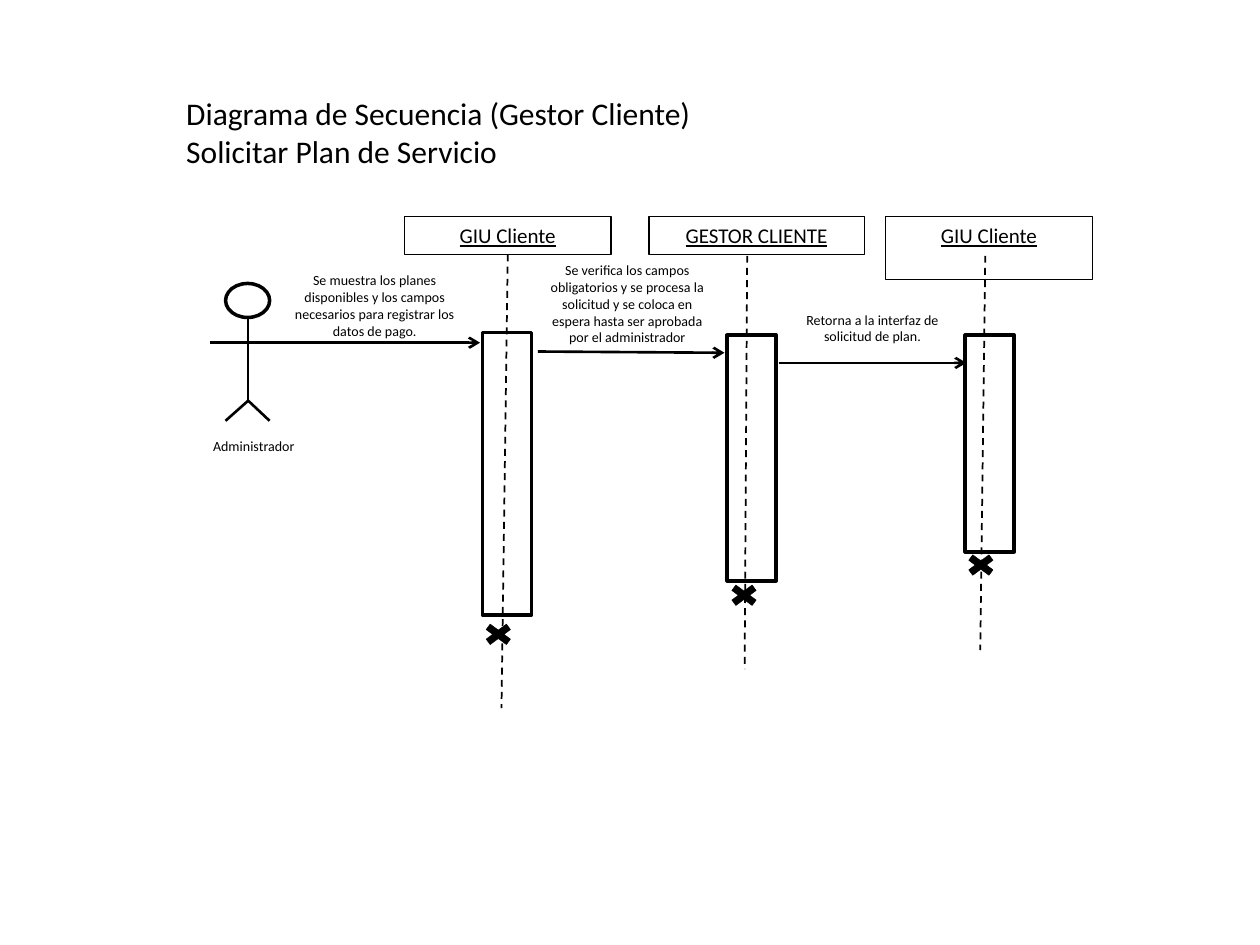
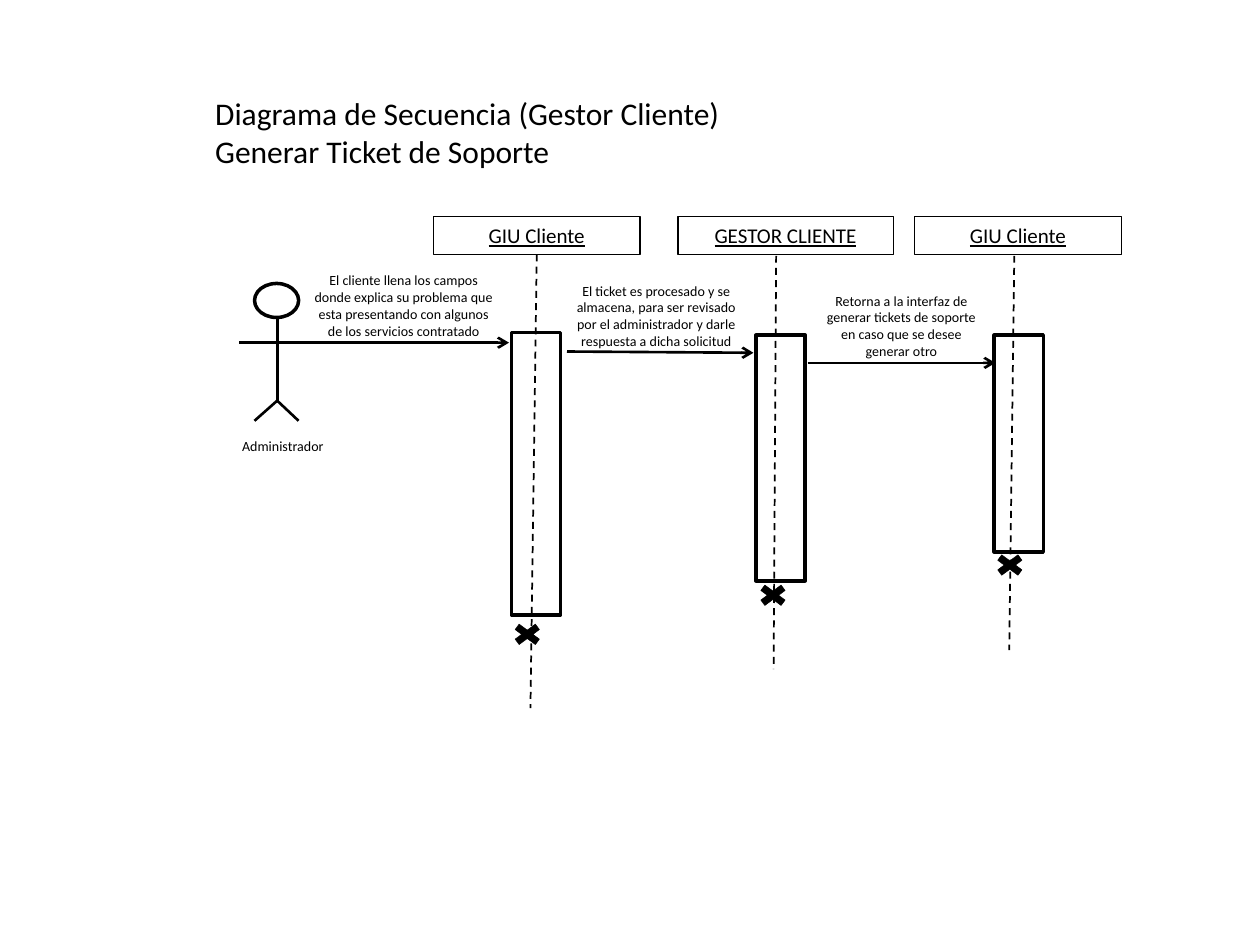
from dataclasses import dataclass
from pptx import Presentation
from pptx.dml.color import RGBColor
from pptx.enum.dml import MSO_LINE
from pptx.enum.shapes import MSO_CONNECTOR, MSO_SHAPE
from pptx.enum.text import MSO_ANCHOR, PP_ALIGN
from pptx.oxml.ns import qn
from pptx.util import Inches, Pt
from lxml.etree import SubElement


@dataclass
class Theme:
    font: str = "Calibri"
    ink: RGBColor = RGBColor(0, 0, 0)
    paper: RGBColor = RGBColor(255, 255, 255)
    title: int = 18
    head: int = 12
    note: int = 8
    thin: float = 0.75
    dash: float = 1
    line: float = 1.5
    thick: float = 2


look = Theme()

pages = [
    dict(
        shift=0,
        title="Solicitar Plan de Servicio",
        tall=[0.3, 0.3, 0.5],
        notes=[
            ("Se muestra los planes disponibles y los campos necesarios para "
             "registrar los datos de pago.", 2.11, 0.64),
            ("Se verifica los campos obligatorios y se procesa la solicitud y se "
             "coloca en espera hasta ser aprobada por el administrador", 2.03, 0.77),
            ("Retorna a la interfaz de solicitud de plan.", 2.42, 0.37),
        ],
    ),
    dict(
        shift=0.23,
        title="Generar Ticket de Soporte",
        tall=[0.3, 0.3, 0.3],
        notes=[
            ("El cliente llena los campos donde explica su problema que esta "
             "presentando con algunos de los servicios contratado", 2.11, 0.64),
            ("El ticket es procesado y se almacena, para ser revisado por el "
             "administrador y darle respuesta a dicha solicitud", 2.19, 0.64),
            ("Retorna a la interfaz de generar tickets de soporte en caso que se "
             "desee generar otro", 2.27, 0.64),
        ],
    ),
]

lanes = [
    dict(name="GIU Cliente", head=(3.21, 1.64), life=(4.03, 2.02, 3.98, 5.62),
         bar=(3.83, 2.64, 0.39, 2.24), cross=(3.8, 4.92)),
    dict(name="GESTOR CLIENTE", head=(5.15, 1.71), life=(5.93, 2.03, 5.91, 5.31),
         bar=(5.77, 2.66, 0.39, 1.95), cross=(5.75, 4.61)),
    dict(name="GIU Cliente", head=(7.03, 1.64), life=(7.82, 2.03, 7.78, 5.16),
         bar=(7.66, 2.66, 0.39, 1.72), cross=(7.63, 4.37)),
]
spans = [(2.16, 1.63), (4.2, 1.56), (6.22, 1.41)]
calls = [(4.27, 2.79, 5.75, 2.8), (6.18, 2.88, 7.67, 2.88)]
limbs = [(1.97, 2.52, 1.97, 3.18), (1.97, 3.18, 1.79, 3.34),
         (1.97, 3.18, 2.14, 3.34), (1.67, 2.72, 2.26, 2.72)]
entry = (2.23, 2.72, 3.81, 2.72)


def write(shape, text, size=look.note, align=PP_ALIGN.CENTER, under=None):
    frame = shape.text_frame
    frame.word_wrap = True
    frame.vertical_anchor = MSO_ANCHOR.TOP
    for num, row in enumerate(text.split("\n")):
        para = frame.add_paragraph() if num else frame.paragraphs[0]
        para.alignment = align
        run = para.add_run()
        run.text = row
        run.font.name = look.font
        run.font.size = Pt(size)
        run.font.color.rgb = look.ink
        run.font.underline = under


class Board:
    def __init__(self, slide, shift):
        self.slide, self.shift = slide, shift

    def place(self, x, y, w, h):
        return [Inches(v) for v in (x + self.shift, y, w, h)]

    def label(self, area, text, home=None, **style):
        box = (home or self.slide).shapes.add_textbox(*self.place(*area))
        write(box, text, **style)

    def form(self, kind, area, width, fill=None, home=None):
        shape = (home or self.slide).shapes.add_shape(kind, *self.place(*area))
        shape.shadow.inherit = False
        shape.line.color.rgb = look.ink
        shape.line.width = Pt(width)
        if fill is None:
            shape.fill.background()
        else:
            shape.fill.solid()
            shape.fill.fore_color.rgb = fill
        return shape

    def link(self, ends, width=look.line, dash=False, arrow=False, home=None):
        x, y, u, v = ends
        points = [Inches(n) for n in (x + self.shift, y, u + self.shift, v)]
        line = (home or self.slide).shapes.add_connector(MSO_CONNECTOR.STRAIGHT, *points)
        line.line.color.rgb = look.ink
        line.line.width = Pt(width)
        if dash:
            line.line.dash_style = MSO_LINE.DASH
        if arrow:
            SubElement(line.line._get_or_add_ln(), qn("a:tailEnd"), type="arrow")
        SubElement(line._element.spPr, qn("a:effectLst"))


def actor(board):
    group = board.slide.shapes.add_group_shape()
    board.form(MSO_SHAPE.OVAL, (1.79, 2.25, 0.35, 0.27), look.thick, look.paper, group)
    for limb in limbs:
        board.link(limb, home=group)
    board.link(entry, arrow=True, home=group)
    board.label((1.26, 3.42, 1.51, 0.24), "Administrador", home=group)


def draw(slide, page):
    board = Board(slide, page["shift"])
    board.label((1.38, 0.7, 5.16, 0.71),
                "Diagrama de Secuencia (Gestor Cliente)\n" + page["title"],
                size=look.title, align=PP_ALIGN.LEFT)
    for lane, tall in zip(lanes, page["tall"]):
        left, wide = lane["head"]
        head = board.form(MSO_SHAPE.RECTANGLE, (left, 1.72, wide, tall), look.thin)
        write(head, lane["name"], size=look.head, under=True)
    for lane in lanes:
        board.link(lane["life"], look.dash, dash=True)
        board.form(MSO_SHAPE.RECTANGLE, lane["bar"], look.thick)
    actor(board)
    for ends in calls:
        board.link(ends, arrow=True)
    for (left, wide), (text, top, tall) in zip(spans, page["notes"]):
        board.label((left, top, wide, tall), text)
    for lane in lanes:
        board.form(MSO_SHAPE.MATH_MULTIPLY, (*lane["cross"], 0.31, 0.23), 0.25, look.ink)


deck = Presentation()
deck.slide_width, deck.slide_height = Inches(10), Inches(7.5)
for page in pages:
    draw(deck.slides.add_slide(deck.slide_layouts[6]), page)
deck.save("out.pptx")
